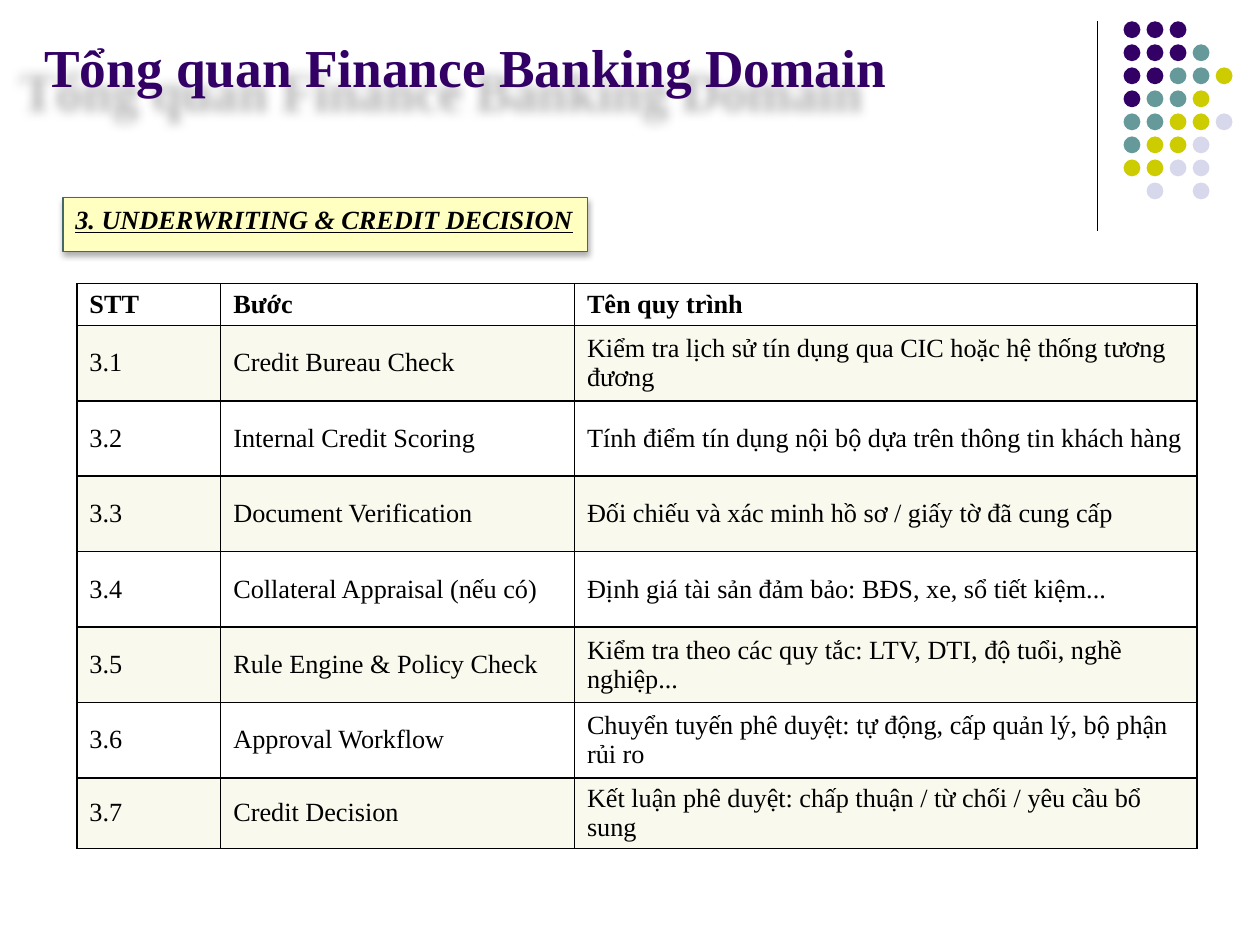
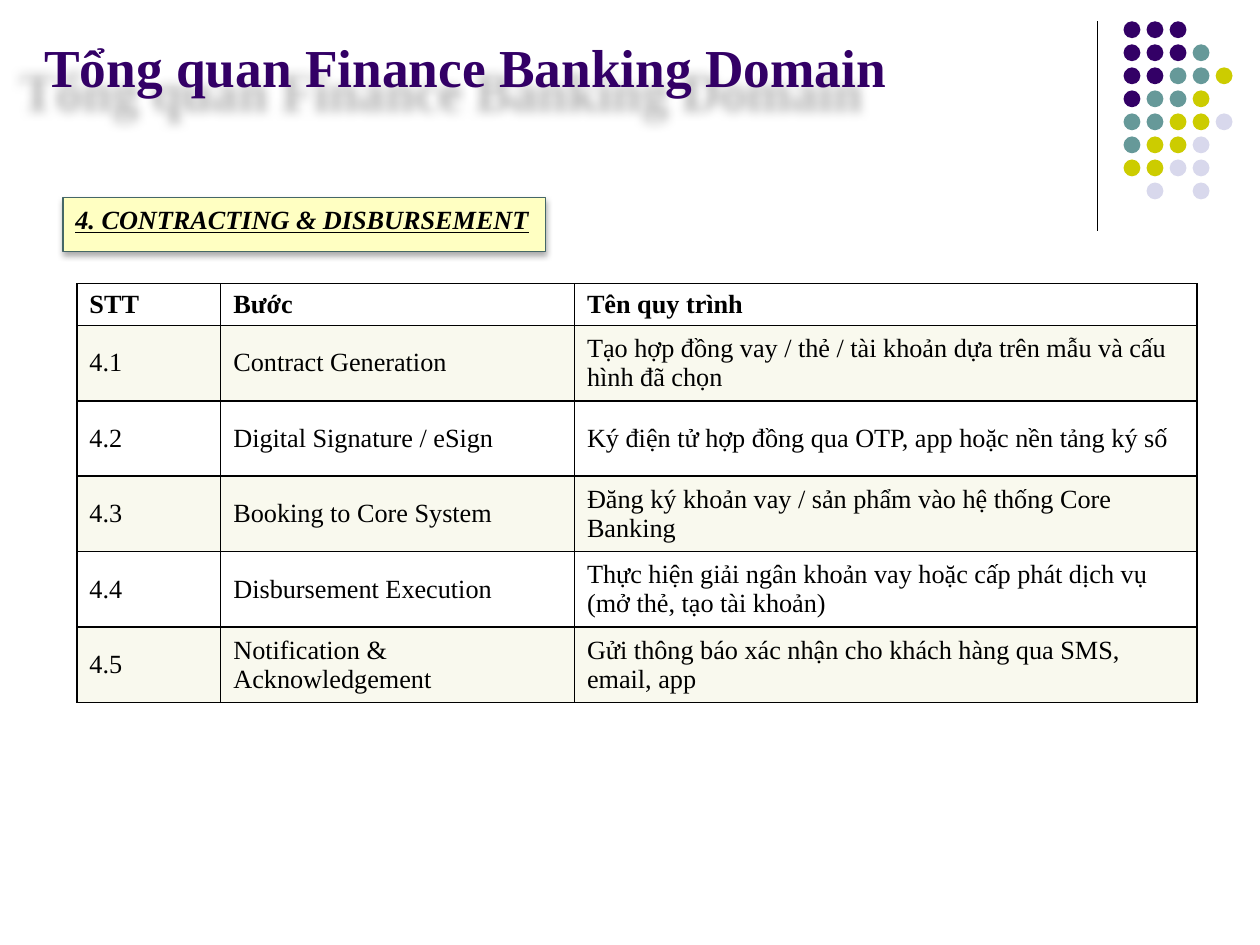
from lxml import etree
from pptx import Presentation
from pptx.dml.color import RGBColor
from pptx.enum import shapes, text
from pptx.oxml import ns
from pptx.util import Cm, Pt

FONT = "Times New Roman"
PURPLE = RGBColor(0x33, 0x00, 0x66)
TEAL = RGBColor(0x66, 0x99, 0x99)
OLIVE = RGBColor(0xCC, 0xCC, 0x00)
LAVENDER = RGBColor(0xD8, 0xD8, 0xEC)
BLACK = RGBColor(0x00, 0x00, 0x00)
CREAM = RGBColor(0xFF, 0xFF, 0xC2)
BANNER_EDGE = RGBColor(0x45, 0x67, 0x67)
BAND = RGBColor(0xE2, 0xE2, 0xAA)

DOT_COLOURS = {"P": PURPLE, "T": TEAL, "O": OLIVE, "L": LAVENDER}
DOT_ROWS = ["PPP", "PPPT", "PPTTO", "PTTO", "TTOOL", "TOOL", "OOLL", " L L"]

TITLE = "Tổng quan Finance Banking Domain"
HEADINGS = ("STT", "Bước", "Tên quy trình")
COLUMN_WIDTHS = (Cm(2.9), Cm(7.13), Cm(12.55))
HEADER_HEIGHT, STEP_HEIGHT = Cm(0.84), Cm(1.52)

UNDERWRITING = [
    ("Credit Bureau Check", "Kiểm tra lịch sử tín dụng qua CIC hoặc hệ thống tương đương"),
    ("Internal Credit Scoring", "Tính điểm tín dụng nội bộ dựa trên thông tin khách hàng"),
    ("Document Verification", "Đối chiếu và xác minh hồ sơ / giấy tờ đã cung cấp"),
    ("Collateral Appraisal (nếu có)", "Định giá tài sản đảm bảo: BĐS, xe, sổ tiết kiệm..."),
    ("Rule Engine & Policy Check", "Kiểm tra theo các quy tắc: LTV, DTI, độ tuổi, nghề nghiệp..."),
    ("Approval Workflow", "Chuyển tuyến phê duyệt: tự động, cấp quản lý, bộ phận rủi ro"),
    ("Credit Decision", "Kết luận phê duyệt: chấp thuận / từ chối / yêu cầu bổ sung"),
]
CONTRACTING = [
    ("Contract Generation", "Tạo hợp đồng vay / thẻ / tài khoản dựa trên mẫu và cấu hình đã chọn"),
    ("Digital Signature / eSign", "Ký điện tử hợp đồng qua OTP, app hoặc nền tảng ký số"),
    ("Booking to Core System", "Đăng ký khoản vay / sản phẩm vào hệ thống Core Banking"),
    ("Disbursement Execution",
     "Thực hiện giải ngân khoản vay hoặc cấp phát dịch vụ (mở thẻ, tạo tài khoản)"),
    ("Notification & Acknowledgement", "Gửi thông báo xác nhận cho khách hàng qua SMS, email, app"),
]


def add_xml(parent, tag, **attributes):
    values = {name: str(value) for name, value in attributes.items()}
    return etree.SubElement(parent, ns.qn(tag), values)


def style_text(paragraph, size, colour=BLACK, bold=False, italic=False, underline=False):
    for run in paragraph.runs:
        font = run.font
        font.name, font.size, font.color.rgb = FONT, Pt(size), colour
        font.bold, font.italic, font.underline = bold, italic, underline


def cast_shadow(shape, opacity, blur, distance, angle):
    """Add a black outer shadow; opacity in percent, angle in degrees."""
    shape.shadow.inherit = False
    effects = shape.element.spPr.find(ns.qn("a:effectLst"))
    shadow = add_xml(effects, "a:outerShdw", blurRad=Pt(blur), dist=Pt(distance),
                     dir=angle * 60000, rotWithShape=0)
    colour = add_xml(shadow, "a:srgbClr", val=BLACK)
    add_xml(colour, "a:alpha", val=opacity * 1000)


def place_title(slide, left, top, width, height):
    title = slide.shapes.title
    title.left, title.top, title.width, title.height = left, top, width, height
    frame = title.text_frame
    frame.text = TITLE
    frame.auto_size = text.MSO_AUTO_SIZE.NONE
    frame.vertical_anchor = text.MSO_ANCHOR.BOTTOM
    paragraph = frame.paragraphs[0]
    paragraph.alignment = text.PP_ALIGN.LEFT
    style_text(paragraph, 30.5, PURPLE, bold=True)
    cast_shadow(title, 30, 6, 19, 137)


def draw_corner(slide, left, top, height):
    """Draw the vertical rule and the dot pattern to its right."""
    rule = slide.shapes.add_connector(
        shapes.MSO_CONNECTOR.STRAIGHT, left, top, left, top + height)
    rule.line.color.rgb, rule.line.width = BLACK, Pt(0.75)
    add_xml(rule.element.spPr, "a:effectLst")

    dots = slide.shapes.add_group_shape()
    diameter, pitch, first = Cm(0.34), Cm(3.25) / 7, left + Cm(0.53)
    for row, pattern in enumerate(DOT_ROWS):
        for column, key in enumerate(pattern):
            if key == " ":
                continue
            dot = dots.shapes.add_shape(
                shapes.MSO_SHAPE.OVAL, int(first + column * pitch),
                int(top + row * pitch), diameter, diameter)
            dot.shadow.inherit = False
            dot.fill.solid()
            dot.fill.fore_color.rgb = DOT_COLOURS[key]
            dot.line.fill.background()


def draw_banner(slide, heading, left, top, width, height):
    banner = slide.shapes.add_shape(shapes.MSO_SHAPE.RECTANGLE, left, top, width, height)
    banner.fill.solid()
    banner.fill.fore_color.rgb = CREAM
    banner.line.color.rgb, banner.line.width = BANNER_EDGE, Pt(0.75)
    cast_shadow(banner, 32, 3.5, 2.2, 90)
    frame = banner.text_frame
    frame.text, frame.word_wrap = heading, True
    frame.vertical_anchor = text.MSO_ANCHOR.TOP
    paragraph = frame.paragraphs[0]
    paragraph.alignment = text.PP_ALIGN.LEFT
    paragraph.space_before = Pt(2)
    style_text(paragraph, 15, bold=True, italic=True, underline=True)


def format_cell(cell, is_header, is_banded):
    cell.vertical_anchor = text.MSO_ANCHOR.MIDDLE
    style_text(cell.text_frame.paragraphs[0], 15, bold=is_header)
    properties = cell._tc.get_or_add_tcPr()
    for side in ("a:lnL", "a:lnR", "a:lnT", "a:lnB"):
        border = add_xml(properties, side, w=Pt(1))
        add_xml(add_xml(border, "a:solidFill"), "a:srgbClr", val=BLACK)
    if is_banded:
        cell.fill.solid()
        cell.fill.fore_color.rgb = BAND
        add_xml(properties.find(".//" + ns.qn("a:solidFill") + "/" + ns.qn("a:srgbClr")
                                + f"[@val='{BAND}']"), "a:alpha", val=20000)
    else:
        cell.fill.background()


def draw_steps(slide, section, steps, left, top, last_height):
    rows = [HEADINGS] + [(f"{section}.{number}", *step)
                         for number, step in enumerate(steps, 1)]
    heights = [HEADER_HEIGHT] + [STEP_HEIGHT] * (len(steps) - 1) + [last_height]
    table = slide.shapes.add_table(len(rows), len(HEADINGS), left, top,
                                   sum(COLUMN_WIDTHS), sum(heights)).table
    table.first_row = table.horz_banding = False
    for column, width in zip(table.columns, COLUMN_WIDTHS):
        column.width = width
    for index, (row, height, values) in enumerate(zip(table.rows, heights, rows)):
        row.height = height
        for cell, value in zip(row.cells, values):
            cell.text_frame.text = value
            format_cell(cell, is_header=index == 0, is_banded=index % 2 == 1)


def add_process_slide(deck, section, name, steps, banner_width, last_height=STEP_HEIGHT):
    slide = deck.slides.add_slide(deck.slide_layouts[5])
    place_title(slide, Cm(0.64), Cm(0.64), Cm(21.39), Cm(1.47))
    draw_corner(slide, Cm(22.12), Cm(0.43), Cm(4.22))
    draw_banner(slide, f"{section}. {name}", Cm(1.27), Cm(3.98), banner_width, Cm(1.09))
    draw_steps(slide, section, steps, Cm(1.55), Cm(5.72), last_height)


def main():
    deck = Presentation()
    deck.slide_width, deck.slide_height = Cm(25.4), Cm(19.05)
    add_process_slide(deck, 3, "UNDERWRITING & CREDIT DECISION", UNDERWRITING,
                      Cm(10.58), last_height=Cm(1.42))
    add_process_slide(deck, 4, "CONTRACTING & DISBURSEMENT", CONTRACTING, Cm(9.73))
    deck.save("out.pptx")


if __name__ == "__main__":
    main()
